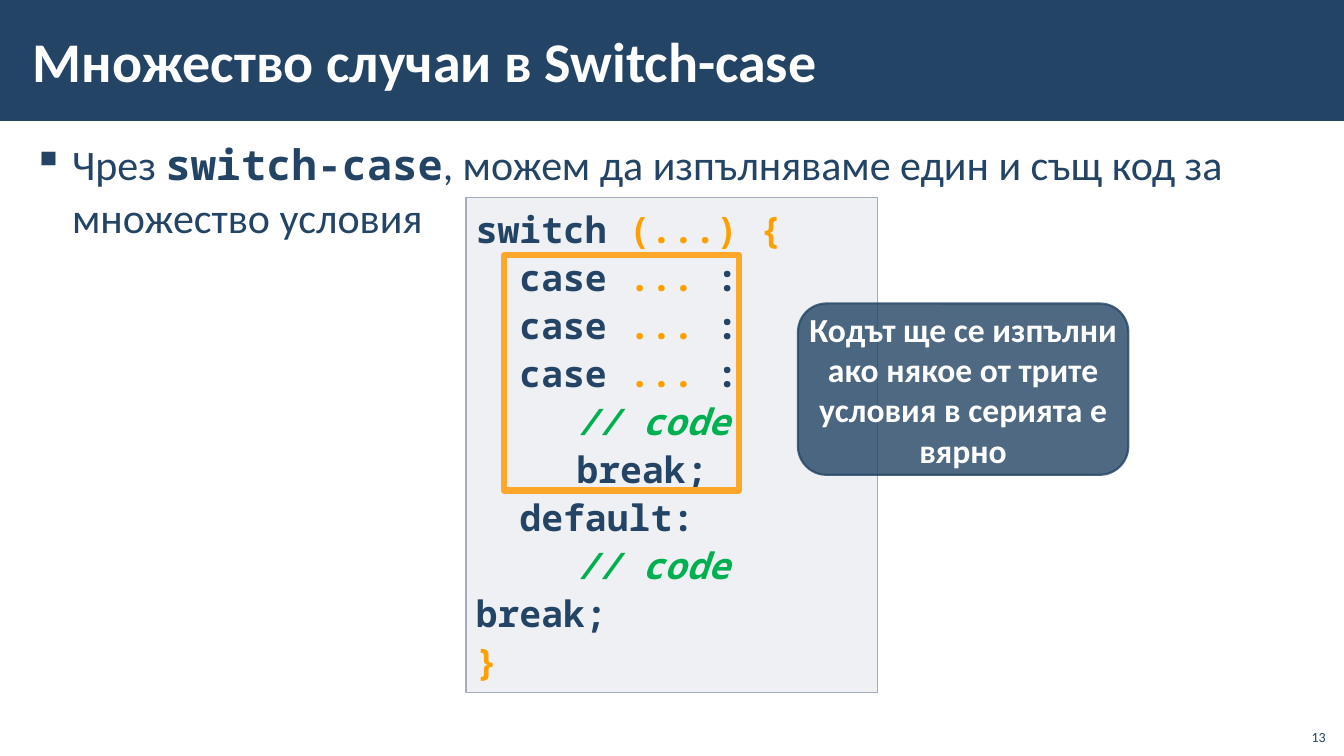
"""Build a slide about several cases sharing one block in switch-case."""
from dataclasses import dataclass

from lxml.etree import SubElement
from pptx import Presentation
from pptx.dml.color import RGBColor
from pptx.enum.shapes import MSO_SHAPE
from pptx.enum.text import MSO_ANCHOR, PP_ALIGN
from pptx.oxml.ns import qn
from pptx.util import Pt


@dataclass(frozen=True)
class Theme:
    navy: str = "234465"
    white: str = "FFFFFF"
    orange: str = "FFA000"
    frame: str = "FFA72A"
    green: str = "00B050"
    panel: str = "C2C7D2"
    panel_edge: str = "A3ABBC"
    sans: str = "Calibri"
    mono: str = "Noto Sans Mono"
    title: int = 40
    body: int = 30
    code: int = 26
    callout: int = 24
    number: int = 10


THEME = Theme()
BREAK = None
TITLE = "Множество случаи в Switch-case"
STATEMENT = [
    ("Чрез ", THEME.sans),
    ("switch-case", THEME.mono),
    (", можем да изпълняваме един и същ код за ", THEME.sans),
    BREAK,
    ("множество условия", THEME.sans),
]
CASE = (31.2, [("case ", THEME.navy), ("... ", THEME.orange), (":", THEME.navy)])
COMMENT = ("// code", THEME.green)
STOP = ("break;", THEME.navy)
CODE = [
    (0, [("switch ", THEME.navy), ("(...) {", THEME.orange)]),
    *[CASE] * 3,
    (72, [COMMENT]),
    (72, [STOP]),
    (31.2, [("default:", THEME.navy)]),
    (72, [COMMENT, BREAK, STOP]),
    (0, [("}", THEME.orange)]),
]
CALLOUT = "Кодът ще се изпълни ако някое от трите условия в серията е вярно"
NUMBER = "13"

SLIDE_SIZE = (960, 540)
BANNER_AT = (0, 0, 960, 86.4)
TITLE_AT = (15, 8, 765, 70)
STATEMENT_AT = (15, 94.3, 930, 435)
CODE_AT = (332.8, 141.3, 294, 353.6)
FRAME_AT = (360, 182.3, 168, 168)
CALLOUT_AT = (570, 216.8, 236, 122.4)
NUMBER_AT = (925, 512.6, 29, 23)


def rgb(color):
    return RGBColor.from_string(color)


def style(font, size, color, name=THEME.sans, bold=False):
    font.size, font.name, font.bold = Pt(size), name, bold
    font.color.rgb = rgb(color)


def set_frame(holder, insets, anchor=MSO_ANCHOR.TOP):
    frame = holder.text_frame
    frame.word_wrap = True
    frame.vertical_anchor = anchor
    frame.margin_left = frame.margin_right = Pt(insets[0])
    frame.margin_top = frame.margin_bottom = Pt(insets[1])
    return frame


def place(holder, at):
    holder.left, holder.top, holder.width, holder.height = map(Pt, at)


def add_box(slide, preset, at, fill=None, line=None, width=0, opacities=()):
    box = slide.shapes.add_shape(preset, *map(Pt, at))
    box.shadow.inherit = False
    if fill:
        box.fill.solid()
        box.fill.fore_color.rgb = rgb(fill)
    else:
        box.fill.background()
    if line:
        box.line.color.rgb = rgb(line)
        box.line.width = Pt(width)
    else:
        box.line.fill.background()
    colors = list(box.element.spPr.iter(qn("a:srgbClr")))
    for color, opacity in zip(colors, opacities):
        SubElement(color, qn("a:alpha"), val=str(opacity * 1000))
    return box


def add_title(slide):
    title = slide.shapes.title
    place(title, TITLE_AT)
    frame = set_frame(title, (8.5, 2.8), MSO_ANCHOR.MIDDLE)
    frame.text = TITLE
    heading = frame.paragraphs[0]
    heading.alignment = PP_ALIGN.LEFT
    style(heading.font, THEME.title, THEME.white, bold=True)
    banner = add_box(slide, MSO_SHAPE.RECTANGLE, BANNER_AT, THEME.navy)
    title.element.addprevious(banner.element)


def add_statement(slide):
    holder = slide.shapes.add_textbox(*map(Pt, STATEMENT_AT))
    statement = set_frame(holder, (8.5, 2.8)).paragraphs[0]
    statement.line_spacing = 1.05
    statement.space_before = statement.space_after = Pt(6)
    properties = statement._p.get_or_add_pPr()
    properties.set("marL", str(Pt(28)))
    properties.set("indent", str(-Pt(28)))
    SubElement(properties, qn("a:buChar"), char="▪")
    for part in STATEMENT:
        if part is BREAK:
            statement.add_line_break()
            continue
        run = statement.add_run()
        run.text, name = part
        style(run.font, THEME.body, THEME.navy, name, name == THEME.mono)


def add_code(slide):
    panel = add_box(slide, MSO_SHAPE.RECTANGLE, CODE_AT, THEME.panel,
                    THEME.panel_edge, 1, (25,))
    frame = set_frame(panel, (7.2, 3.6))
    for index, (indent, parts) in enumerate(CODE):
        line = frame.add_paragraph() if index else frame.paragraphs[0]
        line.alignment = PP_ALIGN.LEFT
        line.line_spacing = 1.1
        style(line.font, THEME.code, THEME.navy, THEME.mono, True)
        line._p.get_or_add_pPr().set("indent", str(Pt(indent)))
        for part in parts:
            if part is BREAK:
                line.add_line_break()
                continue
            run = line.add_run()
            run.text, color = part
            style(run.font, THEME.code, color, THEME.mono, True)
            run.font.italic = part == COMMENT
    add_box(slide, MSO_SHAPE.RECTANGLE, FRAME_AT, line=THEME.frame, width=4.5)


def add_callout(slide):
    callout = add_box(slide, MSO_SHAPE.ROUNDED_RECTANGLE, CALLOUT_AT,
                      THEME.navy, THEME.navy, 1.5, (80, 80))
    frame = set_frame(callout, (0, 0), MSO_ANCHOR.MIDDLE)
    frame.text = CALLOUT
    frame.paragraphs[0].alignment = PP_ALIGN.CENTER
    style(frame.paragraphs[0].font, THEME.callout, THEME.white, bold=True)


def add_number(slide):
    holder = slide.shapes.add_textbox(*map(Pt, NUMBER_AT))
    frame = set_frame(holder, (7.2, 3.6), MSO_ANCHOR.BOTTOM)
    frame.text = NUMBER
    frame.paragraphs[0].alignment = PP_ALIGN.RIGHT
    style(frame.paragraphs[0].font, THEME.number, THEME.navy)


def main():
    deck = Presentation()
    deck.slide_width, deck.slide_height = map(Pt, SLIDE_SIZE)
    slide = deck.slides.add_slide(deck.slide_layouts[5])
    for add_part in (add_title, add_statement, add_code, add_callout, add_number):
        add_part(slide)
    deck.save("out.pptx")


if __name__ == "__main__":
    main()
